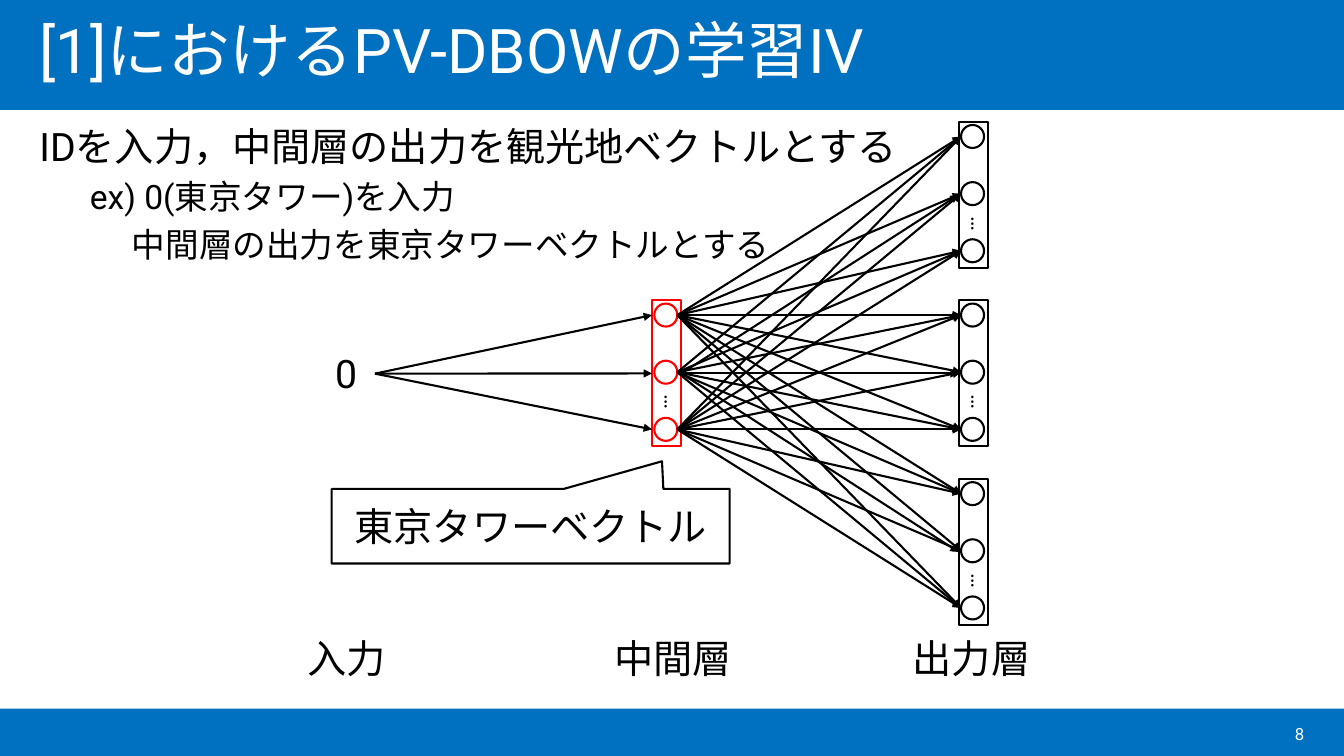
from lxml import etree
from pptx import Presentation
from pptx.dml.color import RGBColor
from pptx.enum.shapes import MSO_CONNECTOR, MSO_SHAPE
from pptx.enum.text import MSO_ANCHOR, MSO_AUTO_SIZE, PP_ALIGN
from pptx.oxml.ns import qn
from pptx.util import Cm, Pt

RECT, OVAL = MSO_SHAPE.RECTANGLE, MSO_SHAPE.OVAL
CALLOUT = MSO_SHAPE.RECTANGULAR_CALLOUT
LINE = MSO_CONNECTOR.STRAIGHT
LEFT, CENTER, RIGHT = PP_ALIGN.LEFT, PP_ALIGN.CENTER, PP_ALIGN.RIGHT
TOP, MIDDLE = MSO_ANCHOR.TOP, MSO_ANCHOR.MIDDLE
BLUE = RGBColor(0x00, 0x70, 0xC0)
RED = RGBColor(0xFF, 0x00, 0x00)
BLACK = RGBColor(0x00, 0x00, 0x00)
WHITE = RGBColor(0xFF, 0xFF, 0xFF)
FONT = "Roboto"

# Content
TITLE = "[1]におけるPV-DBOWの学習Ⅳ"
BODY = [  # text, level, indent in cm, size, space before
    ("IDを入力，中間層の出力を観光地ベクトルとする", 0, 0, 28, 0),
    ("ex) 0(東京タワー)を入力", 1, 1.27, 24, 5),
    ("中間層の出力を東京タワーベクトルとする", 1, 2.33, 24, 5),
]
LABELS = [("入力", 6.22), ("中間層", 14.45), ("出力層", 21.97)]
NOTE = "東京タワーベクトル"
INPUT = "0"
PAGE = "8"

# Sizes in cm
WIDE, HIGH = 33.87, 19.05
BARS = [(0, 2.77), (17.86, HIGH - 17.86)]
BOX_W, BOX_H = 0.74, 3.68
MID_X, OUT_X = 16.43, 24.16
MID_Y, OUT_STEP = 7.57, 4.5
NODE, NODE_X, NODE_Y, NODE_STEP = 0.58, 0.06, 0.08, 1.44
NODES = 3

prs = Presentation()
prs.slide_width, prs.slide_height = Cm(WIDE), Cm(HIGH)
slide = prs.slides.add_slide(prs.slide_layouts[1])
shapes = slide.shapes


def place(shape, x, y, w, h):
    shape.left, shape.top, shape.width, shape.height = Cm(x), Cm(y), Cm(w), Cm(h)


def write(para, text, size, color=BLACK, align=LEFT):
    para.alignment = align
    run = para.add_run()
    run.text = text
    run.font.size, run.font.name = Pt(size), FONT
    run.font.color.rgb = color
    ea = etree.SubElement(run.font._element, qn("a:ea"))
    ea.set("typeface", FONT)


def add_text(home, text, x, y, w, h, size, color=BLACK, align=CENTER, anchor=TOP):
    box = home.add_textbox(Cm(x), Cm(y), Cm(w), Cm(h))
    frame = box.text_frame
    frame.word_wrap = align != CENTER
    frame.vertical_anchor = anchor
    write(frame.paragraphs[0], text, size, color, align)
    return box


def add_form(home, kind, x, y, w, h, fill=WHITE, line=None):
    form = home.add_shape(kind, Cm(x), Cm(y), Cm(w), Cm(h))
    form.shadow.inherit = False
    form.fill.solid()
    form.fill.fore_color.rgb = fill
    if line is None:
        form.line.fill.background()
    else:
        form.line.color.rgb, form.line.width = line, Pt(1.5)
    return form


def add_layer(x, y, color):
    """Draw one column of nodes; return its frame and the node heights."""
    home = shapes.add_group_shape().shapes
    frame = add_form(home, RECT, x, y, BOX_W, BOX_H, line=color)
    tops = [y + NODE_Y + i * NODE_STEP for i in range(NODES)]
    for top in tops:
        add_form(home, OVAL, x + NODE_X, top, NODE, NODE, line=color)
    dots = add_text(home, "…", x + 0.13, y + 2.06, 0.81, 0.94, 16)
    dots.rotation = 90
    return frame, [top + NODE / 2 for top in tops]


def add_arrow(x1, y1, x2, y2):
    arrow = shapes.add_connector(LINE, Cm(x1), Cm(y1), Cm(x2), Cm(y2))
    arrow.line.color.rgb, arrow.line.width = BLACK, Pt(1.5)
    tail = etree.SubElement(arrow.line._get_or_add_ln(), qn("a:tailEnd"))
    tail.set("type", "triangle")
    etree.SubElement(arrow._element.spPr, qn("a:effectLst"))
    return arrow


# Bars behind everything
for top, tall in BARS:
    bar = add_form(shapes, RECT, 0, top, WIDE, tall, fill=BLUE)
    shapes._spTree.insert(2, bar._element)

# Title and list
title, body = shapes.title, slide.placeholders[1]
place(title, 0.74, 0.15, 32.39, 2.39)
title.text_frame.vertical_anchor = MIDDLE
title.text_frame.auto_size = MSO_AUTO_SIZE.NONE
head = title.text_frame.paragraphs[0]
head.line_spacing = 0.9
write(head, TITLE, 44, WHITE)

place(body, 0.74, 2.95, 32.39, 14.68)
frame = body.text_frame
frame.auto_size = MSO_AUTO_SIZE.NONE
for i, (text, level, indent, size, gap) in enumerate(BODY):
    para = frame.add_paragraph() if i else frame.paragraphs[0]
    para.level = level
    props = para._p.get_or_add_pPr()
    props.set("marL", str(Cm(indent)))
    props.set("indent", "0")
    para.space_before = Pt(gap)
    etree.SubElement(props, qn("a:buNone"))
    write(para, text, size)

add_text(shapes, PAGE, 25.5, 17.98, 7.62, 1.02, 12, WHITE, RIGHT, MIDDLE)

# Layers
entry = add_text(shapes, INPUT, 8, 8.69, 1.45, 1.45, 28)
mid, mid_ys = add_layer(MID_X, MID_Y, RED)
outs = [add_layer(OUT_X, MID_Y + i * OUT_STEP, BLACK) for i in (-1, 0, 1)]

# Arrows from the input; the middle one meets the frame
for i, y in enumerate(mid_ys):
    arrow = add_arrow(9.45, y, MID_X, y)
    arrow.begin_connect(entry, 3)
    if i == 1:
        arrow.end_connect(mid, 1)

# Every middle node to every output node
for i, y1 in enumerate(mid_ys):
    for out, out_ys in outs:
        for j, y2 in enumerate(out_ys):
            arrow = add_arrow(MID_X + NODE_X + NODE, y1, OUT_X + NODE_X, y2)
            if i == j == 1:
                arrow.begin_connect(mid, 3)
                arrow.end_connect(out, 1)

# Callout and labels
note = add_form(shapes, CALLOUT, 8.36, 12.32, 10.03, 1.88, line=BLACK)
note.adjustments[0], note.adjustments[1] = 0.33, -0.87
note.text_frame.vertical_anchor = MIDDLE
write(note.text_frame.paragraphs[0], NOTE, 28, align=CENTER)

for text, x in LABELS:
    label = add_text(shapes, text, x, 15.87, 5.03, 1.45, 28)
    label.fill.solid()
    label.fill.fore_color.rgb = WHITE

prs.save("out.pptx")
